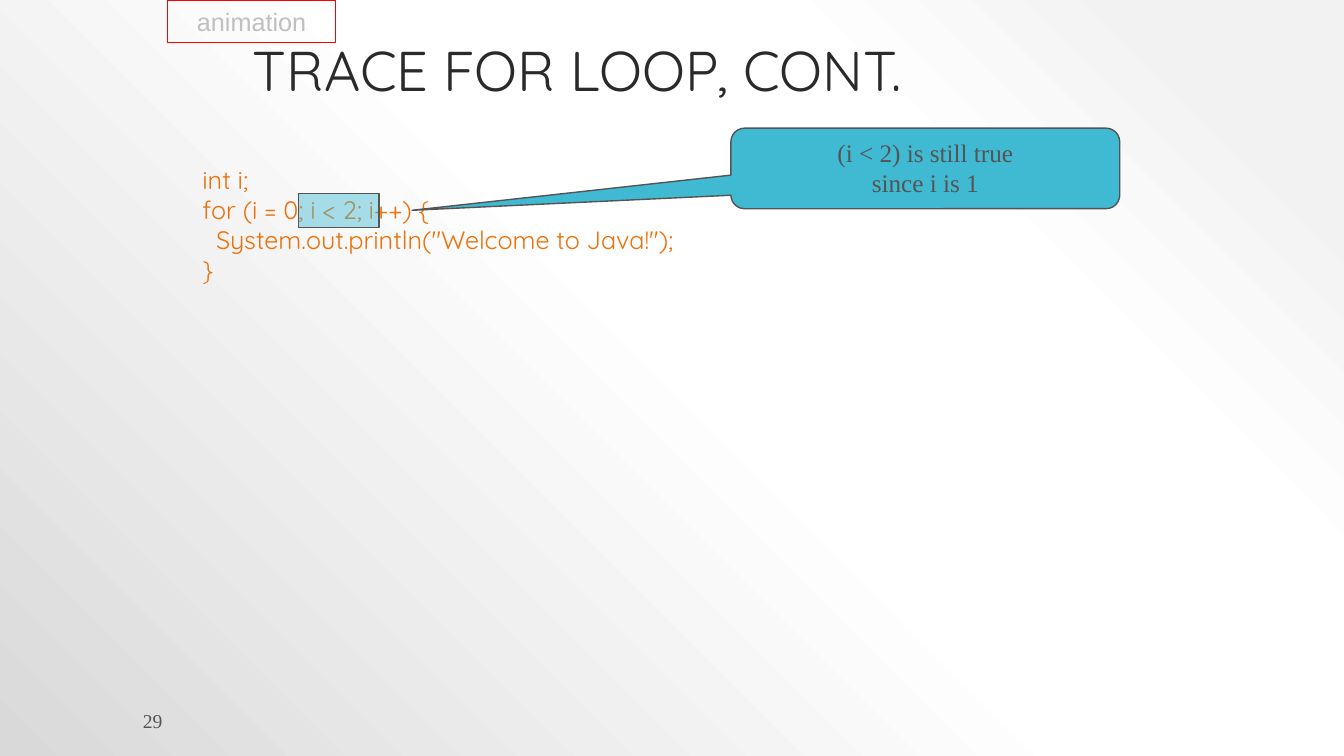
from dataclasses import dataclass

import pptx
import pptx.dml.color
import pptx.enum.shapes
import pptx.enum.text
import pptx.oxml
import pptx.oxml.ns
import pptx.util
from pptx.util import Cm

RGBColor = pptx.dml.color.RGBColor
Shape = pptx.enum.shapes.MSO_SHAPE
Align = pptx.enum.text.PP_ALIGN
Anchor = pptx.enum.text.MSO_ANCHOR

TITLE_INK = RGBColor(0x2A, 0x2A, 0x2A)
GREY = RGBColor(0x54, 0x54, 0x54)
ORANGE = RGBColor(0xEE, 0x70, 0x08)
TEAL = RGBColor(0x40, 0xBA, 0xD2)
RED = RGBColor(0xFF, 0x00, 0x00)
PALE_GREY = RGBColor(0xBF, 0xBF, 0xBF)

BACKGROUND_STOPS = ((10, "F2F2F2"), (28, "FFFFFF"), (48, "FFFFFF"), (100, "D9D9D9"))
CODE = """int i;
for (i = 0; i < 2; i++) {
  System.out.println("Welcome to Java!");
}"""


@dataclass(frozen=True)
class Box:
    """Left, top, width and height in centimetres."""

    left: float
    top: float
    width: float
    height: float

    def lengths(self) -> tuple[Cm, Cm, Cm, Cm]:
        return Cm(self.left), Cm(self.top), Cm(self.width), Cm(self.height)


def write(shape, text: str, *, font: str, size: float, color: RGBColor,
          align=Align.LEFT, anchor=Anchor.TOP, wrap: bool = True,
          line_spacing: float = 1.0) -> None:
    frame = shape.text_frame
    frame.text = text
    frame.auto_size = pptx.enum.text.MSO_AUTO_SIZE.NONE
    frame.word_wrap = wrap
    frame.vertical_anchor = anchor
    for paragraph in frame.paragraphs:
        paragraph.alignment = align
        paragraph.line_spacing = line_spacing
        paragraph.font.name = font
        paragraph.font.size = pptx.util.Pt(size)
        paragraph.font.color.rgb = color


def add_outlined(slide, kind, box: Box, *, line: RGBColor,
                 fill: RGBColor | None = None, opacity: int = 100):
    """Add a preset shape with a one-point outline; opacity is a percentage."""
    shape = slide.shapes.add_shape(kind, *box.lengths())
    shape.shadow.inherit = False
    shape.line.color.rgb = line
    shape.line.width = pptx.util.Pt(1)
    if fill is None:
        shape.fill.background()
        return shape
    shape.fill.solid()
    shape.fill.fore_color.rgb = fill
    if opacity < 100:
        color = shape.element.spPr.find(".//" + pptx.oxml.ns.qn("a:srgbClr"))
        alpha = color.makeelement(pptx.oxml.ns.qn("a:alpha"), {"val": str(opacity * 1000)})
        color.append(alpha)
    return shape


def paint_background(slide) -> None:
    """Fill the slide with a gradient that spreads from the top right corner."""
    slide.background.fill.gradient()
    default = slide.element.find(".//" + pptx.oxml.ns.qn("a:gradFill"))
    stops = "".join(
        f'<a:gs pos="{percent * 1000}"><a:srgbClr val="{color}"/></a:gs>'
        for percent, color in BACKGROUND_STOPS
    )
    gradient = pptx.oxml.parse_xml(
        f'<a:gradFill {pptx.oxml.ns.nsdecls("a")} rotWithShape="1">'
        f'<a:gsLst>{stops}</a:gsLst><a:path path="circle">'
        '<a:fillToRect l="100000" t="0" r="0" b="100000"/></a:path></a:gradFill>'
    )
    default.getparent().replace(default, gradient)


def main() -> None:
    deck = pptx.Presentation()
    deck.slide_width, deck.slide_height = Cm(33.87), Cm(19.05)
    slide = deck.slides.add_slide(deck.slide_layouts[5])
    paint_background(slide)

    title = slide.shapes.title
    title.left, title.top, title.width, title.height = Box(6.12, 0.64, 21.59, 2.11).lengths()
    write(title, "TRACE FOR LOOP, CONT.", font="Quicksand", size=40, color=TITLE_INK,
          anchor=Anchor.BOTTOM, line_spacing=0.9)

    page_number = slide.shapes.add_textbox(*Box(3.35, 17.91, 18.44, 0.51).lengths())
    write(page_number, "29", font="Times New Roman", size=14, color=GREY,
          anchor=Anchor.MIDDLE)

    code = slide.shapes.add_textbox(*Box(4.85, 4.01, 14.81, 3.33).lengths())
    write(code, CODE, font="Quicksand", size=18, color=ORANGE)

    add_outlined(slide, Shape.RECTANGLE, Box(7.52, 4.88, 2.03, 0.86),
                 line=GREY, fill=TEAL, opacity=45)

    explanation = add_outlined(slide, Shape.ROUNDED_RECTANGULAR_CALLOUT,
                               Box(18.42, 3.23, 9.8, 2.03), line=GREY, fill=TEAL)
    for index, value in enumerate((-1.32, 0.52, 0.17)):
        explanation.adjustments[index] = value
    write(explanation, "(i < 2) is still true\nsince i is 1", font="Times New Roman",
          size=18, color=GREY, align=Align.CENTER)

    animation_tag = add_outlined(slide, Shape.RECTANGLE, Box(4.22, 0, 4.24, 1.07), line=RED)
    write(animation_tag, "animation", font="Arial", size=18, color=PALE_GREY,
          align=Align.CENTER, anchor=Anchor.MIDDLE, wrap=False)

    deck.save("out.pptx")


if __name__ == "__main__":
    main()
